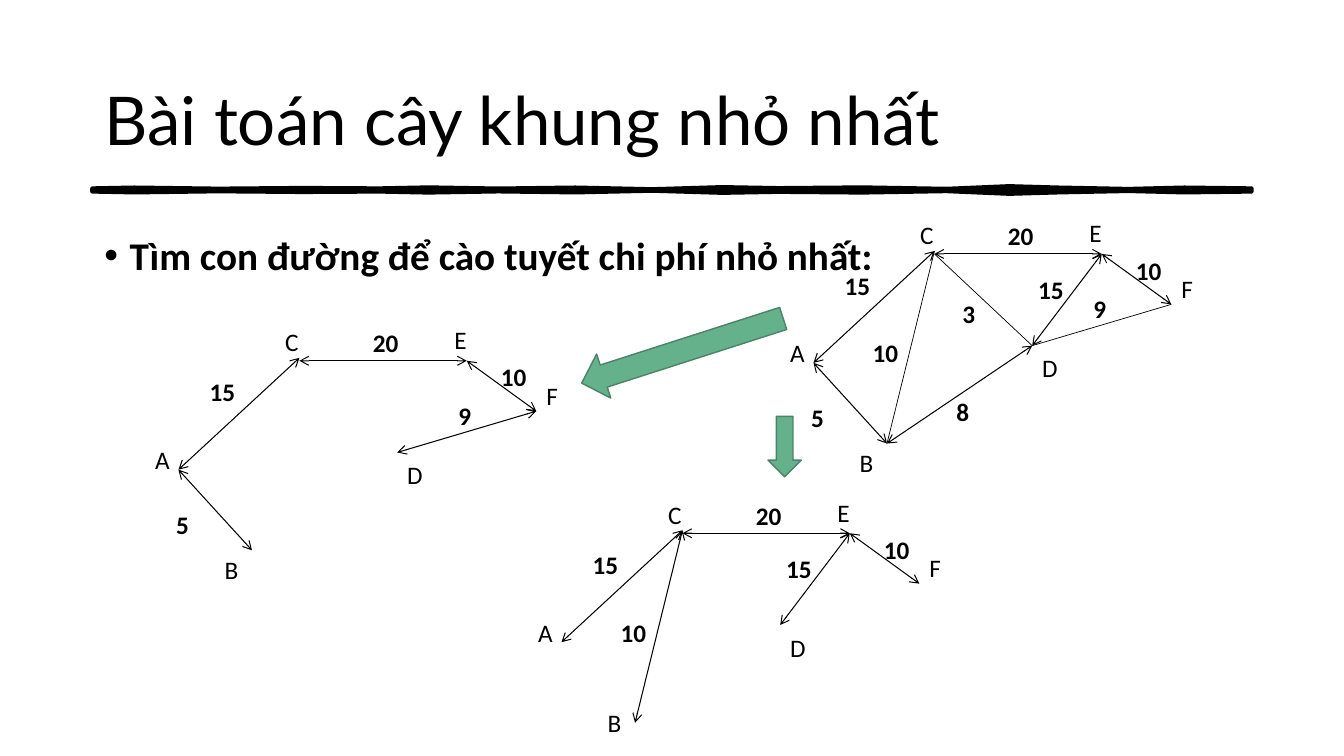
from pptx import Presentation
from pptx.dml.color import RGBColor as RGB
from pptx.enum.shapes import MSO_CONNECTOR as Link, MSO_SHAPE as Form
from pptx.enum.text import MSO_ANCHOR as Anchor, MSO_AUTO_SIZE as Auto
from pptx.oxml.ns import qn
from pptx.util import Pt
from lxml.etree import SubElement as sub

BLACK, GREEN, DARK = "000000", "64B18C", "4A8368"

TIPS = {"A": (23.8, 107.3), "B": (76.3, 164.9), "C": (110.2, 27.4), "c": (110.2, 29.5),
        "D": (180, 95), "E": (229.7, 29.5), "F": (279.4, 65.5)}
NAMES = {"A": (0, 85.7), "C": (92.9, 1.4), "E": (213.8, 0),
         "F": (279.4, 39.6), "D": (180, 96.5), "B": (49.7, 164.2)}
COSTS = {"AC": ("15", 38.9, 37.4), "BC": ("10", 59, 85.7), "BA": ("5", 15.1, 131.8),
         "cE": ("20", 155.5, 2.2), "FE": ("10", 247, 26.6), "Dc": ("3", 123.1, 57.6),
         "DE": ("15", 177.1, 40.3), "DF": ("9", 216.7, 54), "BD": ("8", 118.8, 127.4)}
WAVES = [(0, 0), (30, -0.6), (90, 0.2), (150, -0.3), (205, 0), (240, -0.7), (290, 0.1),
         (345, -0.6), (400, 0.6), (450, -0.9), (490, -0.2), (550, -0.7), (610, 0.3),
         (655, -1.6), (690, -0.6), (740, 0.4), (780, -0.6), (828, 0)]


def ink(code):
    """Turn a hex string into a colour."""
    return RGB.from_string(code)


def paint(shape, fill, edge, width):
    """Set the fill and outline of a shape without a shadow."""
    shape.shadow.inherit = False
    shape.fill.solid()
    shape.fill.fore_color.rgb = ink(fill)
    shape.line.color.rgb = ink(edge)
    shape.line.width = Pt(width)


def write(slide, text, box, size=18, font="Calibri", bold=False, wrap=False,
          inset=(7.2, 3.6, 7.2, 3.6), anchor=Anchor.TOP, lead=None, before=0):
    """Add a text box and return its paragraph."""
    frame = slide.shapes.add_textbox(*map(Pt, box)).text_frame
    frame.word_wrap = wrap
    frame.auto_size = Auto.NONE if wrap else Auto.SHAPE_TO_FIT_TEXT
    frame.vertical_anchor = anchor
    (frame.margin_left, frame.margin_top,
     frame.margin_right, frame.margin_bottom) = map(Pt, inset)
    para = frame.paragraphs[0]
    para.space_before = Pt(before)
    if lead:
        para.line_spacing = lead
    run = para.add_run()
    run.text = text
    run.font.size, run.font.name, run.font.bold = Pt(size), font, bold
    run.font.color.rgb = ink(BLACK)
    return para


def join(slide, start, end, heads):
    """Draw one edge, with an arrowhead at both ends if asked."""
    line = slide.shapes.add_connector(Link.STRAIGHT, *map(Pt, start + end))
    line.line.color.rgb = ink(BLACK)
    line.line.width = Pt(0.75 if heads else 0.5)
    if heads:
        stroke = line.line._get_or_add_ln()
        for tag in ("a:headEnd", "a:tailEnd"):
            sub(stroke, qn(tag)).set("type", "arrow")
    sub(line._element.spPr, qn("a:effectLst"))


def head(slide, box):
    """Place the title and the hand-drawn rule under it."""
    left, top, wide, high = box
    write(slide, "Bài toán cây khung nhỏ nhất", box, size=48, font="Lato", wrap=True,
          inset=(8.64, 8.64, 8.64, 7.2), anchor=Anchor.MIDDLE, lead=1.1)
    level = top + high + 1.4
    upper = [(left + x, level + y) for x, y in WAVES]
    lower = [(left + x, level + 2.2 - y) for x, y in reversed(WAVES)]
    dots = [(Pt(x), Pt(y)) for x, y in upper + lower]
    build = slide.shapes.build_freeform(*dots[0])
    build.add_line_segments(dots[1:])
    paint(build.convert_to_shape(), BLACK, BLACK, 3)


def body(slide, box):
    """Place the bulleted statement."""
    para = write(slide, "Tìm con đường để cào tuyết chi phí nhỏ nhất:", box, size=28,
                 bold=True, wrap=True, inset=(8.64, 8.64, 8.64, 7.2), lead=1.14, before=10)
    props = para._p.get_or_add_pPr()
    props.set("marL", str(Pt(18)))
    props.set("indent", str(Pt(-18)))
    sub(props, qn("a:buFont")).set("typeface", "Arial")
    sub(props, qn("a:buChar")).set("char", "•")


def graph(slide, left, top, edges, plain=(), lift=0):
    """Draw a weighted graph from its edges, with the label of B raised by lift."""
    for edge in edges:
        start, end = [(left + TIPS[node][0], top + TIPS[node][1]) for node in edge]
        join(slide, start, end, edge not in plain)
    for name, (x, y) in NAMES.items():
        rise = lift if name == "B" else 0
        write(slide, name, (left + x, top + y - rise, 24.3, 28.8))
    for edge in edges:
        cost, x, y = COSTS[edge]
        wide = 32.6 if len(cost) > 1 else 23.8
        write(slide, cost, (left + x, top + y, wide, 28.8), bold=True)


def arrow(slide, box, turn=0):
    """Add a green block arrow."""
    shape = slide.shapes.add_shape(Form.DOWN_ARROW, *map(Pt, box))
    paint(shape, GREEN, DARK, 1)
    shape.rotation = turn


def main():
    """Build and save the slide."""
    deck = Presentation()
    deck.slide_width, deck.slide_height = Pt(960), Pt(540)
    slide = deck.slides.add_slide(deck.slide_layouts[6])
    head(slide, (66, 28.8, 828, 104.4))
    body(slide, (66, 151.9, 828, 334.8))
    graph(slide, 557.3, 151.9, list(COSTS), plain=("BC", "Dc", "DF"))
    graph(slide, 103.7, 228.2, ["AC", "BA", "cE", "FE", "DF"])
    graph(slide, 377.3, 351.4, ["AC", "BC", "cE", "FE", "DE"], lift=13.7)
    arrow(slide, (470.9, 175, 33.1, 151.2), turn=72.2)
    arrow(slide, (548.6, 297.4, 23.8, 43.2))
    deck.save("out.pptx")


if __name__ == "__main__":
    main()
